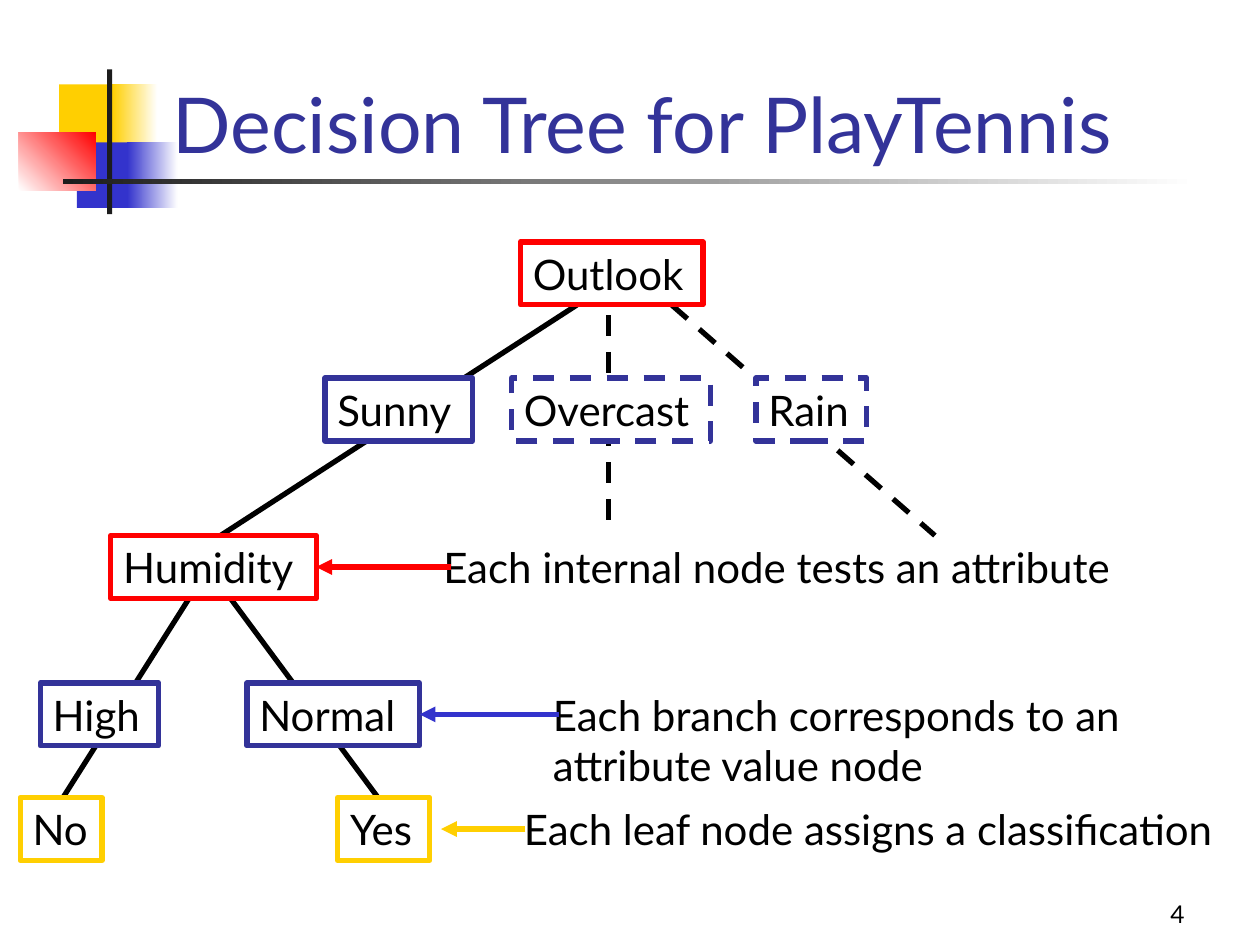
from dataclasses import dataclass

from lxml import etree
from pptx import Presentation
from pptx.dml.color import RGBColor
from pptx.enum.dml import MSO_LINE
from pptx.enum.shapes import MSO_CONNECTOR, MSO_SHAPE
from pptx.enum.text import MSO_ANCHOR, MSO_AUTO_SIZE, PP_ALIGN
from pptx.oxml.ns import qn
from pptx.util import Inches, Pt

RECTANGLE = MSO_SHAPE.RECTANGLE
STRAIGHT = MSO_CONNECTOR.STRAIGHT
DASH = MSO_LINE.DASH
TOP, BOTTOM = MSO_ANCHOR.TOP, MSO_ANCHOR.BOTTOM
FIT_SHAPE = MSO_AUTO_SIZE.SHAPE_TO_FIT_TEXT
LEFT, RIGHT = PP_ALIGN.LEFT, PP_ALIGN.RIGHT
RIGHT_SIDE = 3


@dataclass(frozen=True)
class Theme:
    font: str = "Lato"
    title_size: int = 44
    body_size: int = 24
    number_size: int = 14
    line_width: int = 3
    text: str = "000000"
    title: str = "333399"
    attribute: str = "FF0000"
    value: str = "333399"
    leaf: str = "FFCF01"
    blue: str = "3333CC"
    rule: str = "1C1C1C"
    white: str = "FFFFFF"


@dataclass(frozen=True)
class Box:
    """A region in inches."""
    left: float
    top: float
    width: float
    height: float

    def inner(self, left, top, width, height):
        return Box(self.left + left, self.top + top, width, height)

    def lengths(self):
        return [Inches(n) for n in (self.left, self.top, self.width, self.height)]


THEME = Theme()
ROWS = [0, 1.08, 2.33, 3.5, 4.41]  # tops of the tree levels
NODE_HEIGHT = 0.5


def rgb(colour):
    return RGBColor.from_string(colour)


def write(shape, lines, size, colour=THEME.text, align=LEFT, anchor=TOP):
    frame = shape.text_frame
    frame.text = "\n".join(lines)
    frame.vertical_anchor = anchor
    for paragraph in frame.paragraphs:
        paragraph.alignment = align
        font = paragraph.runs[0].font
        font.name, font.size = THEME.font, Pt(size)
        font.color.rgb = rgb(colour)


def fit_to_text(shape):
    shape.text_frame.word_wrap = False
    shape.text_frame.auto_size = FIT_SHAPE


def add_rectangle(slide, box):
    shape = slide.shapes.add_shape(RECTANGLE, *box.lengths())
    shape.shadow.inherit = False
    return shape


def add_line(slide, start, end, colour, dashed=False, arrow=False):
    connector = slide.shapes.add_connector(
        STRAIGHT, *[Inches(n) for n in (*start, *end)])
    connector.line.color.rgb = rgb(colour)
    connector.line.width = Pt(THEME.line_width)
    if dashed:
        connector.line.dash_style = DASH
    properties = connector._element.spPr
    if arrow:
        etree.SubElement(properties.find(qn("a:ln")), qn("a:tailEnd"), type="triangle")
    etree.SubElement(properties, qn("a:effectLst"))
    return connector


def draw_ornament(slide, box):
    """Coloured squares and the two rules beside the title."""
    pieces = [  # place, start colour, end colour, angle
        ((0.32, 0.12, 0.48, 0.52), THEME.leaf, None, 0),
        ((0.74, 0.12, 0.36, 0.52), THEME.leaf, THEME.white, 0),
        ((0.46, 0.58, 0.46, 0.52), THEME.blue, None, 0),
        ((0.86, 0.58, 0.4, 0.52), THEME.blue, THEME.white, 0),
        ((0, 0.5, 0.61, 0.46), THEME.white, THEME.attribute, 45),
        ((0.7, 0, 0.04, box.height), THEME.rule, None, 0),
        ((0.35, 0.87, box.width - 0.35, 0.04), THEME.rule, THEME.white, 0),
    ]
    for place, start, end, angle in pieces:
        shape = add_rectangle(slide, box.inner(*place))
        shape.line.fill.background()
        if end is None:
            shape.fill.solid()
            shape.fill.fore_color.rgb = rgb(start)
        else:
            shape.fill.gradient()
            shape.fill.gradient_angle = angle
            for stop, colour in zip(shape.fill.gradient_stops, (start, end)):
                stop.color.rgb = rgb(colour)


def draw_text(slide, box, text, size, colour, align=LEFT):
    shape = slide.shapes.add_textbox(*box.lengths())
    shape.text_frame.word_wrap = True
    write(shape, [text], size, colour, align, BOTTOM)


def draw_tree(slide, box):
    """Draw branches, then the nodes over them; return the nodes by label."""
    under_root = ROWS[0] + NODE_HEIGHT
    under_humidity = ROWS[2] + NODE_HEIGHT
    branches = [  # start, end, dashed
        ((4.42, under_root), (1.59, ROWS[2]), False),
        ((5.17, under_root), (7.26, ROWS[2]), True),
        ((1.34, under_humidity), (0.34, ROWS[4]), False),
        ((1.67, under_humidity), (2.84, ROWS[4]), False),
        ((4.67, under_root + 0.08), (4.67, ROWS[2]), True),
    ]
    for start, end, dashed in branches:
        points = [(box.left + x, box.top + y) for x, y in (start, end)]
        add_line(slide, *points, THEME.text, dashed)

    nodes = [  # label, left, row, width, colour, dashed
        ("Outlook", 3.97, 0, 1.45, THEME.attribute, False),
        ("Sunny", 2.42, 1, 1.17, THEME.value, False),
        ("Overcast", 3.9, 1, 1.58, THEME.value, True),
        ("Rain", 5.84, 1, 0.88, THEME.value, True),
        ("Humidity", 0.72, 2, 1.63, THEME.attribute, False),
        ("High", 0.16, 3, 0.94, THEME.value, False),
        ("Normal", 1.8, 3, 1.37, THEME.value, False),
        ("No", 0, 4, 0.65, THEME.leaf, False),
        ("Yes", 2.52, 4, 0.73, THEME.leaf, False),
    ]
    shapes = {}
    for label, left, row, width, colour, dashed in nodes:
        shape = add_rectangle(slide, box.inner(left, ROWS[row], width, NODE_HEIGHT))
        shape.fill.solid()
        shape.fill.fore_color.rgb = rgb(THEME.white)
        shape.line.color.rgb = rgb(colour)
        shape.line.width = Pt(THEME.line_width)
        if dashed:
            shape.line.dash_style = DASH
        write(shape, [label], THEME.body_size)
        fit_to_text(shape)
        shapes[label] = shape
    return shapes


def draw_notes(slide, box, nodes):
    """Explanations, each with an arrow to the node it describes."""
    notes = [  # lines, left, row, width, height, arrow start, arrow end, colour, node
        (["Each internal node tests an attribute"],
         0, 2, 5.9, 0.5, 0.16, -0.91, THEME.attribute, "Humidity"),
        (["Each branch corresponds to an", "attribute value node"],
         0.87, 3, 5.06, 0.9, 1.02, -0.09, THEME.blue, "Normal"),
        (["Each leaf node assigns a classification"],
         0.64, 4, 6.1, 0.5, 0.75, 0.08, THEME.leaf, None),
    ]
    for lines, left, row, width, height, start, end, colour, node in notes:
        shape = slide.shapes.add_textbox(*box.inner(left, ROWS[row], width, height).lengths())
        write(shape, lines, THEME.body_size)
        fit_to_text(shape)
        middle = box.top + ROWS[row] + NODE_HEIGHT / 2
        arrow = add_line(slide, (box.left + start, middle), (box.left + end, middle),
                         colour, arrow=True)
        if node:
            arrow.end_connect(nodes[node], RIGHT_SIDE)


def main():
    presentation = Presentation()
    presentation.slide_width, presentation.slide_height = Inches(10), Inches(7.5)
    slide = presentation.slides.add_slide(presentation.slide_layouts[6])
    draw_ornament(slide, Box(0.15, 0.55, 9.35, 1.15))
    draw_text(slide, Box(7.42, 6.92, 2.08, 0.5), "4", THEME.number_size, THEME.text, RIGHT)
    draw_text(slide, Box(1.27, 0.14, 8.52, 1.25), "Decision Tree for PlayTennis",
              THEME.title_size, THEME.title)
    nodes = draw_tree(slide, Box(0.16, 1.92, 7.26, 4.91))
    draw_notes(slide, Box(3.42, 1.92, 6.74, 4.91), nodes)
    presentation.save("out.pptx")


if __name__ == "__main__":
    main()
